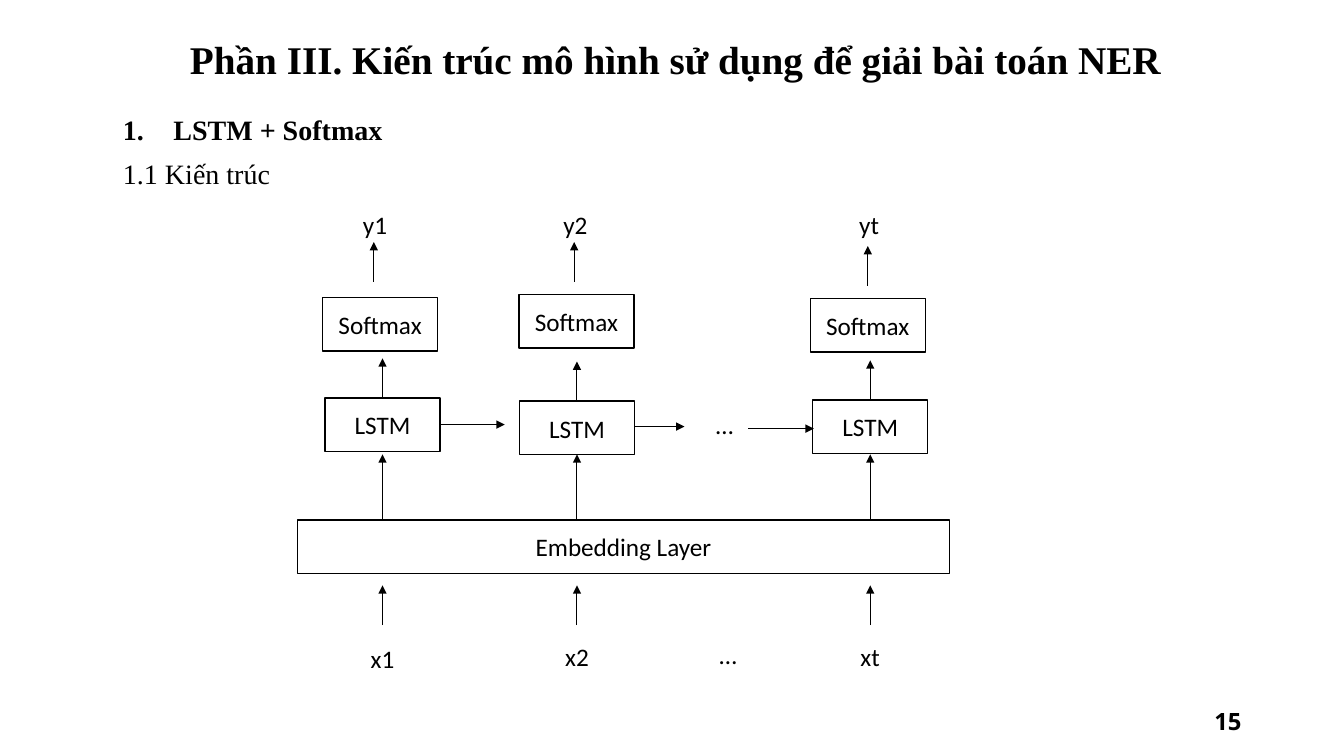
from lxml import etree
from pptx import Presentation, util as u
from pptx.dml.color import RGBColor
from pptx.enum import shapes as s, text as t
from pptx.oxml.ns import qn

INK, PAPER = "000000", "FFFFFF"
SERIF = "Times New Roman"
CELL_W, CELL_H = 2.9, 1.35


def color(code):
    """Turn a hex string into a colour."""
    return RGBColor.from_string(code)


def style(para, size, face, bold=False, align=t.PP_ALIGN.CENTER):
    """Set the font and alignment of a paragraph."""
    para.alignment = align
    font = para.font
    font.size, font.name, font.bold = u.Pt(size), face, bold
    font.color.rgb = color(INK)


def frame(slide, x, y, w, h):
    """Add a wrapping text box and return its text frame."""
    body = slide.shapes.add_textbox(*map(u.Cm, (x, y, w, h))).text_frame
    body.word_wrap = True
    return body


def block(slide, label, x, y, w, h, edge=INK, shift=0):
    """Add a white labelled box."""
    box = slide.shapes.add_shape(s.MSO_SHAPE.RECTANGLE, *map(u.Cm, (x, y, w, h)))
    box.shadow.inherit = False
    box.fill.solid()
    box.fill.fore_color.rgb = color(PAPER)
    box.line.color.rgb = color(edge)
    box.line.width = u.Pt(1)
    body = box.text_frame
    body.word_wrap = True
    body.margin_left = u.Cm(0.25 + shift)
    body.vertical_anchor = t.MSO_ANCHOR.MIDDLE
    body.text = label
    style(body.paragraphs[0], 18, "Calibri")


def arrow(slide, x, y, dx, dy):
    """Draw an arrow from a point along a step."""
    ends = map(u.Cm, (x, y, x + dx, y + dy))
    link = slide.shapes.add_connector(s.MSO_CONNECTOR.STRAIGHT, *ends)
    link.line.color.rgb = color(INK)
    link.line.width = u.Pt(0.75)
    etree.SubElement(link.line._get_or_add_ln(), qn("a:tailEnd"), type="triangle")
    etree.SubElement(link._element.spPr, qn("a:effectLst"))


def heading(slide, x, y, w, h):
    """Place the slide title."""
    para = frame(slide, x, y, w, h).paragraphs[0]
    para.text = "Phần III. Kiến trúc mô hình sử dụng để giải bài toán NER"
    para.line_spacing = 0.9
    style(para, 28, SERIF, True)


def outline(slide, x, y, w, h):
    """Place the numbered section and its subsection."""
    body = frame(slide, x, y, w, h)
    body.text = "LSTM + Softmax\n1.1 Kiến trúc"
    first, second = body.paragraphs
    props = first._p.get_or_add_pPr()
    props.set("marL", str(u.Cm(1.27)))
    props.set("indent", str(-u.Cm(1.27)))
    etree.SubElement(props, qn("a:buAutoNum"), type="arabicPeriod")
    second.space_before = u.Pt(10)
    for para in (first, second):
        para.line_spacing = 0.9
        style(para, 20, SERIF, para is first, t.PP_ALIGN.JUSTIFY)


def column(slide, mid, step, out, soft, top, cell, tip, low):
    """Place one time step: output, softmax, LSTM cell and input."""
    block(slide, f"y{step}", out - 0.7, 5.15, 1.4, 1, PAPER)
    arrow(slide, out - 0.03, tip + 1, 0, -1)
    block(slide, "Softmax", soft - CELL_W / 2, top, CELL_W, CELL_H)
    block(slide, "LSTM", mid - CELL_W / 2, cell, CELL_W, CELL_H)
    arrow(slide, mid, cell, 0, -1)
    arrow(slide, mid, 13.1, 0, -1.65)
    arrow(slide, mid, 15.75, 0, -1)
    block(slide, f"x{step}", mid - 0.65, low, 1.3, 0.9, PAPER)


def network(slide, x, y, w, h):
    """Place the embedding layer and the unrolled network above it."""
    block(slide, "Embedding Layer", x, y, w, h)
    block(slide, "…", x + 8.9, y - 3.07, CELL_W, CELL_H, PAPER, 0.82)
    block(slide, "…", x + 10.3, y + 2.88, 1.1, 1, PAPER)
    steps = [
        (2.14, 1, 9.45, 9.58, 7.5, 10.03, 6.1, 16.13),
        (7.04, 2, 14.5, 14.53, 7.42, 10.11, 6.1, 16.08),
        (14.43, "t", 21.9, 21.87, 7.52, 10.08, 6.2, 16.08),
    ]
    for mid, *rest in steps:
        column(slide, x + mid, *rest)
    for left, drop, reach in ((3.59, 2.4, 1.63), (8.5, 2.35, 1.25), (11.36, 2.3, 1.65)):
        arrow(slide, x + left, y - drop, reach, 0)


def number(slide, x, y, w, h):
    """Place the slide number."""
    body = frame(slide, x, y, w, h)
    body.vertical_anchor = t.MSO_ANCHOR.MIDDLE
    body.text = "15"
    style(body.paragraphs[0], 17, "Noto Sans", True, t.PP_ALIGN.RIGHT)


def main():
    """Build and save the slide."""
    deck = Presentation()
    deck.slide_width, deck.slide_height = u.Cm(33.87), u.Cm(19.05)
    slide = deck.slides.add_slide(deck.slide_layouts[6])
    heading(slide, 4.32, 0.91, 25.4, 2.97)
    outline(slide, 2.85, 2.8, 29.65, 15.87)
    number(slide, 23.92, 17.65, 7.62, 1.02)
    network(slide, 7.5, 13.1, 16.43, 1.35)
    deck.save("out.pptx")


if __name__ == "__main__":
    main()
